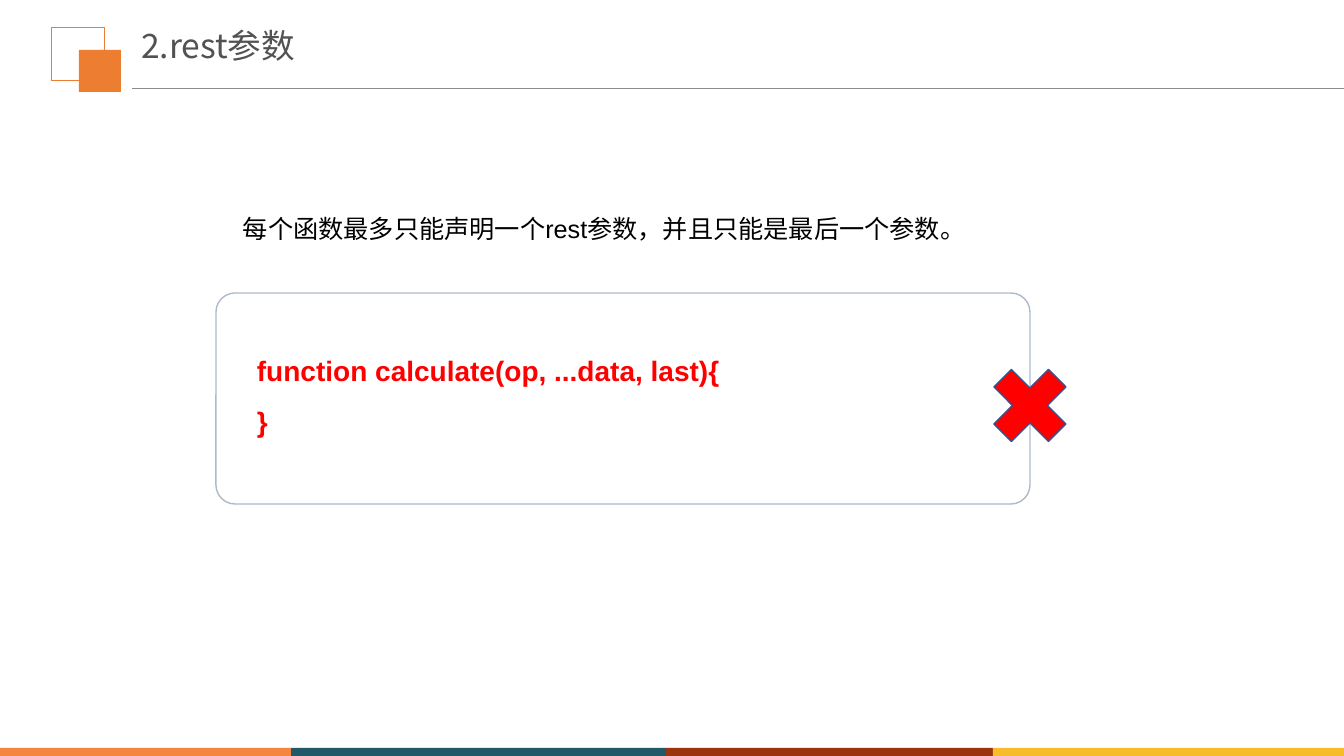
import itertools

import pptx
import pptx.dml.color
import pptx.enum.shapes
import pptx.enum.text
import pptx.oxml.ns
import pptx.util
from lxml import etree

PX = 914400 / 100.8
WIDTH, HEIGHT = 1344, 756
COLORS = {
    "orange": "ED7D31", "rule": "8C8C8C", "title": "525252", "text": "000000",
    "red": "FF0000", "frame": "ADBACA", "cross_line": "325491",
    "bar_orange": "F5863F", "bar_teal": "215968", "bar_rust": "9A340F", "bar_yellow": "F7BC29",
}
CJK_FONT = "Noto Sans CJK SC"
SHAPES = pptx.enum.shapes.MSO_SHAPE


def emu(length):
    return pptx.util.Emu(round(length * PX))


def color(name):
    return pptx.dml.color.RGBColor.from_string(COLORS[name])


def add_shape(slide, kind, box, fill=None, line=None, line_width=1):
    shape = slide.shapes.add_shape(kind, *map(emu, box))
    shape.shadow.inherit = False
    if fill:
        shape.fill.solid()
        shape.fill.fore_color.rgb = color(fill)
    else:
        shape.fill.background()
    if line:
        shape.line.color.rgb = color(line)
        shape.line.width = pptx.util.Pt(line_width)
    else:
        shape.line.fill.background()
    return shape


def format_text(text_frame, size, color_name, font="Arial", bold=False, spacing=1.0):
    text_frame.word_wrap = True
    for paragraph in text_frame.paragraphs:
        paragraph.alignment = pptx.enum.text.PP_ALIGN.LEFT
        paragraph.line_spacing = spacing
        for run in paragraph.runs:
            run.font.size = pptx.util.Pt(size)
            run.font.name = font
            run.font.bold = bold
            run.font.color.rgb = color(color_name)
            # East Asian typeface
            east_asian = etree.SubElement(run.font._element, pptx.oxml.ns.qn("a:ea"))
            east_asian.set("typeface", CJK_FONT)


def add_text(slide, box, text, size, color_name, **style):
    text_box = slide.shapes.add_textbox(*map(emu, box))
    text_box.text_frame.text = text
    format_text(text_box.text_frame, size, color_name, **style)


def build_header(slide, left, top, right):
    # Overlapping squares
    add_shape(slide, SHAPES.RECTANGLE, (left, top, 53, 53), line="orange", line_width=0.75)
    add_shape(slide, SHAPES.RECTANGLE, (left + 27, top + 22, 42, 42), fill="orange")

    # Rule under the title
    rule = slide.shapes.add_connector(
        pptx.enum.shapes.MSO_CONNECTOR.STRAIGHT,
        emu(left + 80), emu(top + 61), emu(right), emu(top + 61))
    rule.line.color.rgb = color("rule")
    rule.line.width = pptx.util.Pt(0.75)
    etree.SubElement(rule._element.spPr, pptx.oxml.ns.qn("a:effectLst"))

    # Title
    title = slide.shapes.title
    title.left, title.top, title.width, title.height = map(emu, (left + 79, top + 1, 533, 58))
    text_frame = title.text_frame
    text_frame.text = "2.rest参数"
    text_frame.auto_size = pptx.enum.text.MSO_AUTO_SIZE.NONE
    text_frame.vertical_anchor = pptx.enum.text.MSO_ANCHOR.TOP
    text_frame.margin_top = 0
    format_text(text_frame, 24, "title", font=CJK_FONT, spacing=0.9)


def build_example(slide, left, top, width, height):
    # Framed code
    frame = add_shape(slide, SHAPES.ROUNDED_RECTANGLE, (left, top, width, height), line="frame")
    frame.adjustments[0] = 0.09
    add_text(slide, (left + 31, top + 39, 717, 112),
             "function calculate(op, ...data, last){\n}", 20, "red", bold=True, spacing=1.5)

    # Statement above the frame
    add_text(slide, (left + 17, top - 85, width - 4, 40),
             "每个函数最多只能声明一个rest参数，并且只能是最后一个参数。", 18, "text")

    # Cross centred on the right edge
    cross = 105
    add_shape(slide, SHAPES.MATH_MULTIPLY,
              (left + width - cross / 2, top + 60, cross, cross), fill="red", line="cross_line")


def build_footer(slide, top, height):
    edges = (0, 291, 666, 993, WIDTH)
    names = ("bar_orange", "bar_teal", "bar_rust", "bar_yellow")
    for (start, end), name in zip(itertools.pairwise(edges), names):
        add_shape(slide, SHAPES.RECTANGLE, (start, top, end - start, height), fill=name)


def main():
    presentation = pptx.Presentation()
    presentation.slide_width, presentation.slide_height = emu(WIDTH), emu(HEIGHT)
    slide = presentation.slides.add_slide(presentation.slide_layouts[5])
    build_header(slide, 52, 28, WIDTH)
    build_example(slide, 216, 293, 814, 211)
    build_footer(slide, HEIGHT - 8, 8)
    presentation.save("out.pptx")


if __name__ == "__main__":
    main()
